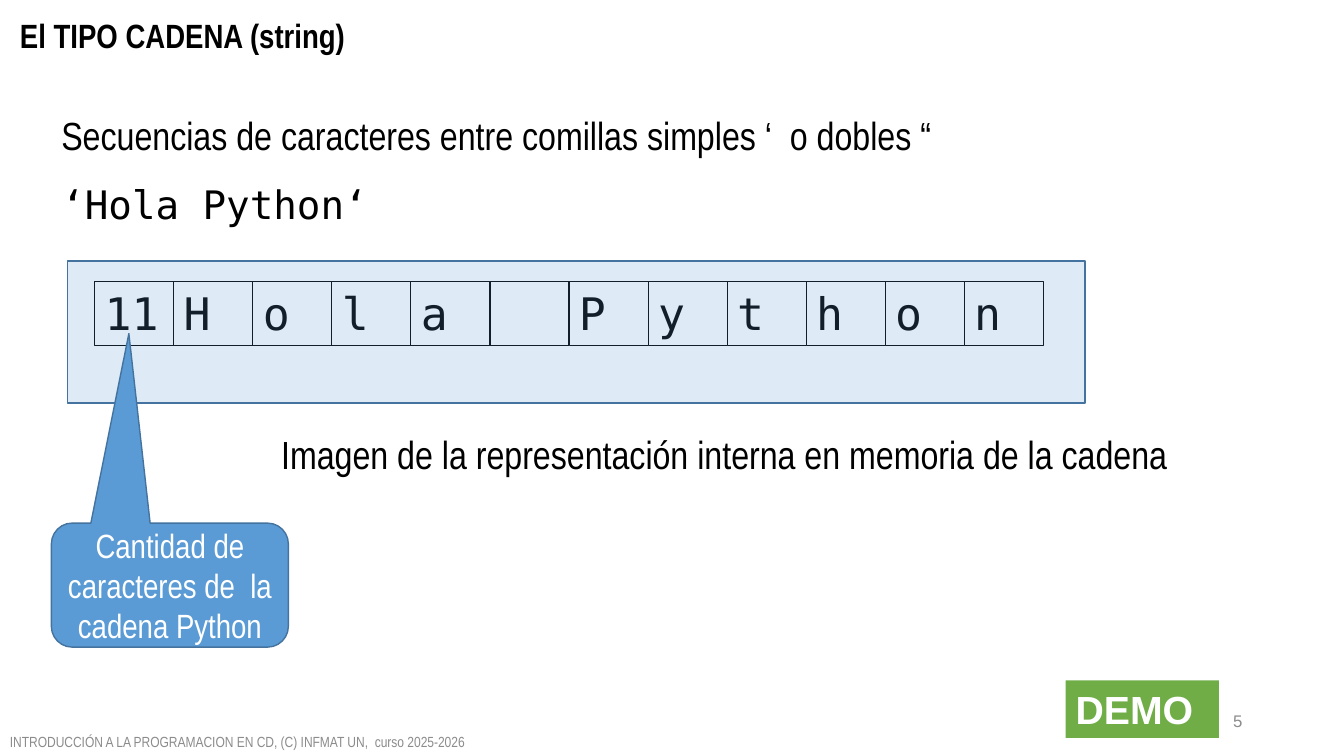
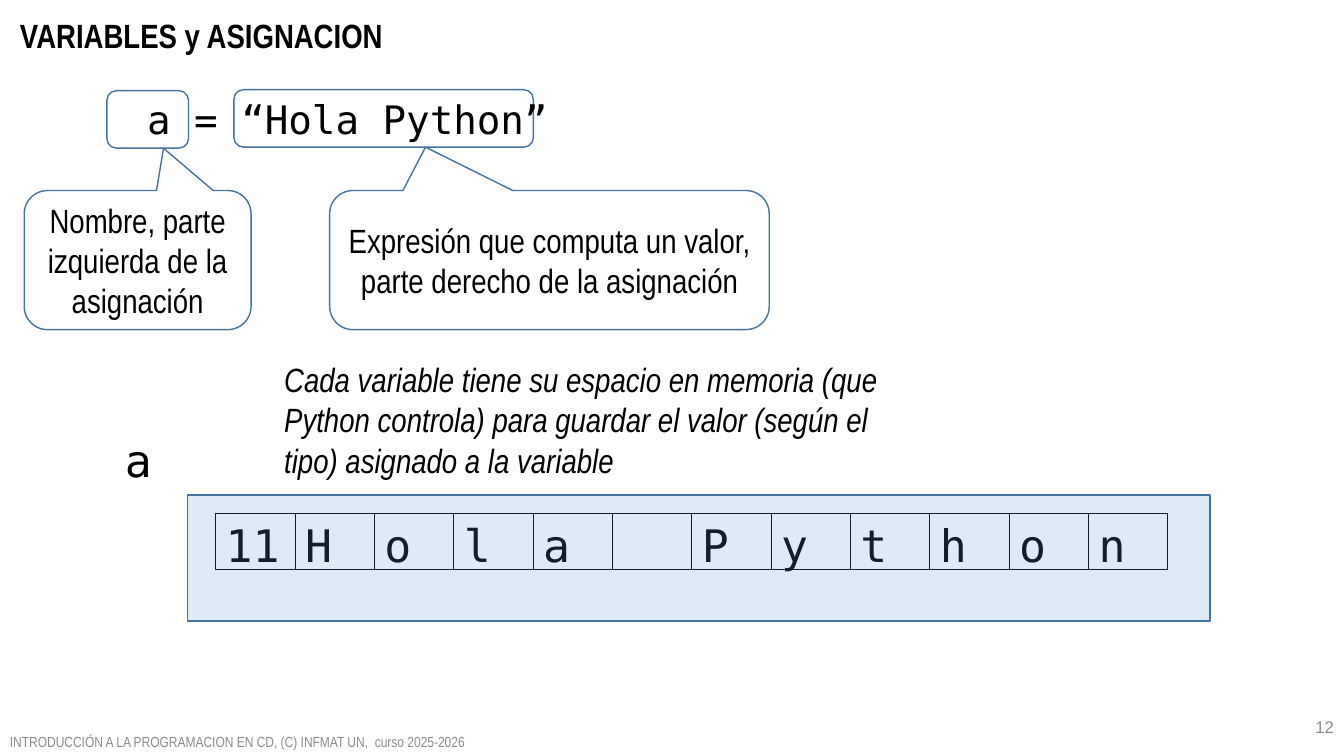
from lxml.etree import SubElement
from pptx import Presentation
from pptx.dml.color import RGBColor
from pptx.enum.shapes import MSO_SHAPE
from pptx.enum.text import MSO_ANCHOR, PP_ALIGN
from pptx.oxml.ns import qn
from pptx.util import Inches, Pt

COLORS = {"ink": "000000", "paper": "FFFFFF", "gray": "8C8C8C",
          "blue": "5B9BD5", "edge": "43739E", "green": "70AD47"}
NARROW, MONO, SANS = "Arial Narrow", "DejaVu Sans Mono", "Arial"
FOOTER = "INTRODUCCIÓN A LA PROGRAMACION EN CD, (C) INFMAT UN,  curso 2025-2026"
STRING = "Hola Python"

# Text styles: font attributes plus colour, alignment and anchor
STYLES = {
    "title": dict(size=24, name=NARROW, bold=True),
    "body": dict(size=28, name=NARROW),
    "remark": dict(size=24, name=NARROW, italic=True),
    "code": dict(size=28, name=MONO),
    "cell": dict(size=32, name=MONO),
    "callout": dict(size=24, name=NARROW, align="CENTER", anchor="MIDDLE"),
    "footer": dict(size=10.5, name=NARROW, color="gray", anchor="MIDDLE"),
    "number": dict(size=12, name=SANS, color="gray", align="RIGHT", anchor="MIDDLE"),
    "demo": dict(size=28, name=SANS, bold=True, color="paper"),
}

# Boxes are (left, top, width, height) in inches
SLIDES = [
    dict(
        title="El TIPO CADENA (string)", number="5", number_at=(9.42, 6.95),
        texts=[
            ("Secuencias de caracteres entre comillas simples ‘  o dobles “",
             "body", (0.51, 1.06, 12.31, 0.57)),
            ("‘Hola Python‘", "code", (0.51, 1.74, 12.31, 0.57)),
            ("Imagen de la representación interna en memoria de la cadena",
             "body", (2.69, 4.22, 9.11, 0.57)),
        ],
        memory=dict(panel=(0.67, 2.59, 10.09, 1.41), first=(0.94, 2.79, 0.784, 0.64)),
        callouts=[("Cantidad de caracteres de  la cadena Python",
                   (0.51, 5.19, 2.35, 1.23), (-0.173, -2.029), "blue", "paper")],
        demo=("DEMO", (10.57, 6.75, 1.52, 0.57)),
    ),
    dict(
        title="VARIABLES y ASIGNACION", number="12", number_at=(10.33, 7.01),
        frames=[(2.32, 0.89, 2.97, 0.57), (1.06, 0.9, 0.81, 0.57)],
        texts=[
            ("a = “Hola Python”", "code", (1.36, 0.9, 8.32, 0.57)),
            ("a", "cell", (1.14, 4.24, 0.94, 0.64)),
            ("Cada variable tiene su espacio en memoria (que Python controla) para "
             "guardar el valor (según el tipo) asignado a la variable",
             "remark", (2.72, 3.51, 6.19, 1.31)),
        ],
        memory=dict(panel=(1.86, 4.91, 10.14, 1.25), first=(2.14, 5.09, 0.787, 0.56)),
        callouts=[
            ("Nombre, parte izquierda de la asignación",
             (0.24, 1.89, 2.25, 1.38), (0.114, -0.804), "paper", "ink"),
            ("Expresión que computa un valor, parte derecho de la asignación",
             (3.27, 1.89, 4.36, 1.38), (-0.282, -0.812), "paper", "ink"),
        ],
    ),
]


def rgb(name):
    return RGBColor.from_string(COLORS[name])


def write(sp, text, style, **changes):
    fmt = {**STYLES[style], **changes}
    tf = sp.text_frame
    tf.word_wrap = True
    tf.vertical_anchor = getattr(MSO_ANCHOR, fmt.pop("anchor", "TOP"))
    p = tf.paragraphs[0]
    p.alignment = getattr(PP_ALIGN, fmt.pop("align", "LEFT"))
    r = p.add_run()
    r.text = text
    r.font.color.rgb = rgb(fmt.pop("color", "ink"))
    r.font.size = Pt(fmt.pop("size"))
    for key, value in fmt.items():
        setattr(r.font, key, value)


def add_text(s, text, style, box):
    write(s.shapes.add_textbox(*map(Inches, box)), text, style)


def add_box(s, kind, box, fill="paper", line="edge", width=1, alpha=None):
    sp = s.shapes.add_shape(kind, *map(Inches, box))
    sp.shadow.inherit = False
    sp.fill.solid()
    sp.fill.fore_color.rgb = rgb(fill)
    if alpha is not None:
        color = sp.fill._xPr.find(qn("a:solidFill"))[0]
        SubElement(color, qn("a:alpha")).set("val", str(alpha * 1000))
    if line:
        sp.line.color.rgb = rgb(line)
        sp.line.width = Pt(width)
    else:
        sp.line.fill.background()
    return sp


def add_memory(s, panel, first):
    """Length cell, one cell per character, and a translucent panel over them."""
    left, top, w, h = first
    for i, value in enumerate([str(len(STRING)), *STRING]):
        sp = add_box(s, MSO_SHAPE.RECTANGLE, (left + i * w, top, w, h),
                     line="ink", width=0.75)
        if value.strip():
            write(sp, value, "cell")
    add_box(s, MSO_SHAPE.RECTANGLE, panel, fill="blue", alpha=20)


def add_callout(s, text, box, tip, fill, ink):
    sp = add_box(s, MSO_SHAPE.ROUNDED_RECTANGULAR_CALLOUT, box, fill)
    for i, value in enumerate((*tip, 0.167)):
        sp.adjustments[i] = value
    write(sp, text, "callout", color=ink)


def build_slide(prs, data):
    s = prs.slides.add_slide(prs.slide_layouts[6])
    # Shared title, footer and page number
    add_text(s, data["title"], "title", (0.1, 0.1, 6.56, 0.5))
    add_text(s, FOOTER, "footer", (0, 7.21, 6.67, 0.29))
    add_text(s, data["number"], "number", (*data["number_at"], 3, 0.4))
    # Slide content, back to front
    for box in data.get("frames", []):
        add_box(s, MSO_SHAPE.ROUNDED_RECTANGLE, box)
    add_memory(s, **data["memory"])
    for item in data["texts"]:
        add_text(s, *item)
    for item in data["callouts"]:
        add_callout(s, *item)
    if "demo" in data:
        text, box = data["demo"]
        write(add_box(s, MSO_SHAPE.RECTANGLE, box, "green", line=None), text, "demo")


def main():
    prs = Presentation()
    prs.slide_width, prs.slide_height = Inches(13.33), Inches(7.5)
    for data in SLIDES:
        build_slide(prs, data)
    prs.save("out.pptx")


if __name__ == "__main__":
    main()
